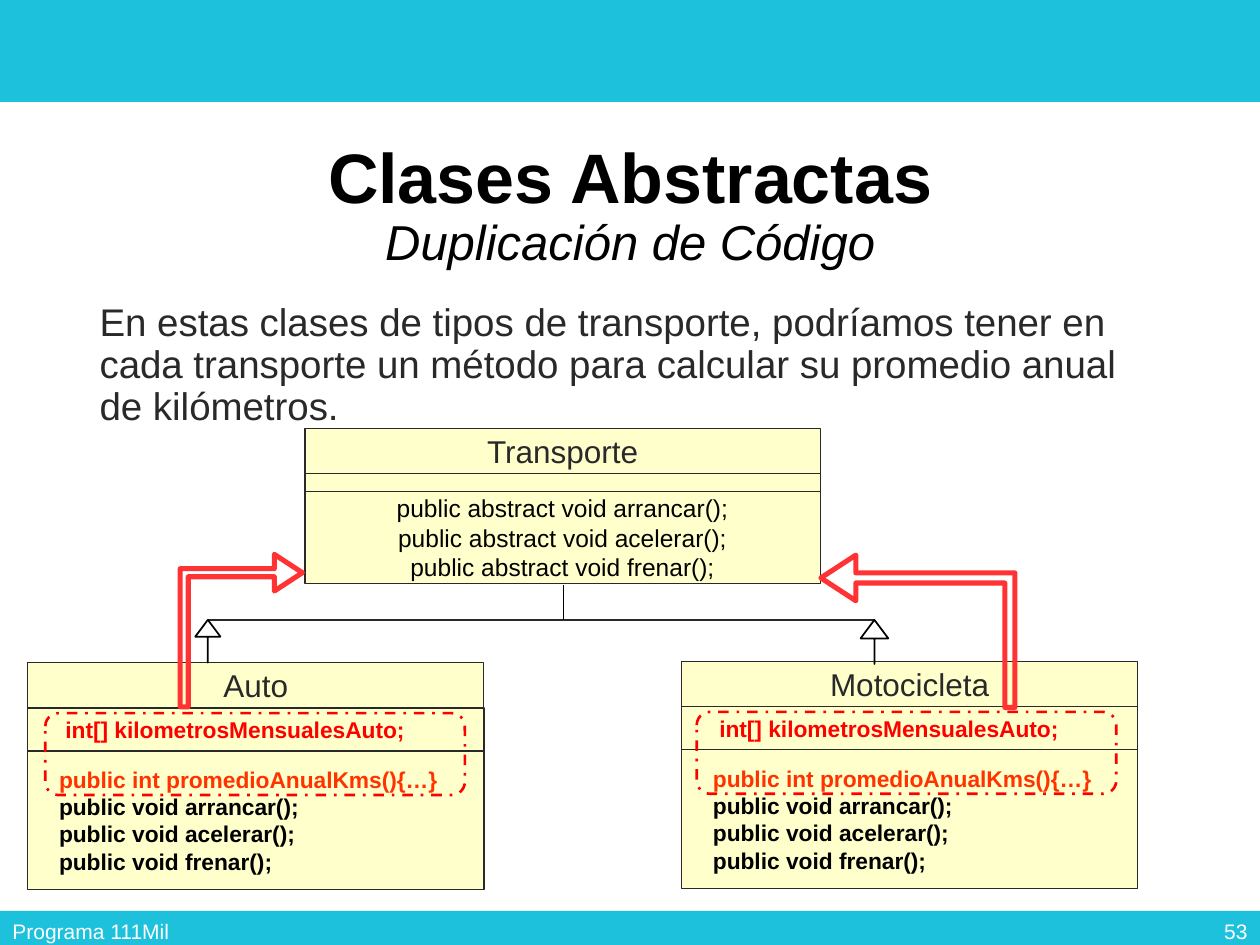
"""Builds the abstract classes slide with its transport class diagram."""
from dataclasses import dataclass

from lxml import etree
from pptx import Presentation
from pptx.dml.color import RGBColor
from pptx.enum.dml import MSO_LINE
from pptx.enum.shapes import MSO_CONNECTOR, MSO_SHAPE
from pptx.enum.text import MSO_ANCHOR, MSO_AUTO_SIZE, PP_ALIGN
from pptx.oxml.ns import qn
from pptx.util import Inches, Pt

LEFT, CENTER, RIGHT = PP_ALIGN.LEFT, PP_ALIGN.CENTER, PP_ALIGN.RIGHT
TOP, MIDDLE = MSO_ANCHOR.TOP, MSO_ANCHOR.MIDDLE
RECTANGLE, ROUNDED = MSO_SHAPE.RECTANGLE, MSO_SHAPE.ROUNDED_RECTANGLE
PROCESS, BENT_ARROW = MSO_SHAPE.FLOWCHART_PROCESS, MSO_SHAPE.BENT_UP_ARROW
DOWN_ARROW, STRAIGHT = MSO_SHAPE.DOWN_ARROW, MSO_CONNECTOR.STRAIGHT
DASH_DOT, NO_AUTOFIT = MSO_LINE.DASH_DOT, MSO_AUTO_SIZE.NONE


@dataclass(frozen=True)
class Theme:
    """Fonts, colours and type sizes of the slide."""
    font: str = "Arial"
    band: str = "1DC1DC"
    paper: str = "FFFFFF"
    ink: str = "000000"
    soft_ink: str = "292929"
    class_fill: str = "FFFFCC"
    field: str = "FF0000"
    method: str = "FF3300"
    arrow: str = "FF3333"
    title_size: int = 40
    subtitle_size: int = 28
    body_size: int = 22
    class_size: int = 18
    abstract_size: int = 14
    member_size: int = 13
    footer_size: int = 12


class SlideBuilder:
    """Holds the theme and the current slide."""

    def __init__(self, deck, theme):
        """Add a title and content slide to the deck."""
        self.theme = theme
        self.slide = deck.slides.add_slide(deck.slide_layouts[1])

    def fill_text(self, frame, lines, anchor=MIDDLE, **para_format):
        """Fill a frame with paragraphs of (text, font format) spans."""
        frame.word_wrap = True
        frame.auto_size = NO_AUTOFIT
        frame.vertical_anchor = anchor
        for index, spans in enumerate(lines):
            para = frame.add_paragraph() if index else frame.paragraphs[0]
            for name, value in para_format.items():
                setattr(para, name, value)
            for position, (text, font_format) in enumerate(spans):
                if position:
                    para.add_line_break()
                span = para.add_run()
                span.text = text
                self.style(span.font, **font_format)

    def style(self, font, size, color, **font_format):
        """Set the font of a span."""
        values = {"name": self.theme.font, "size": Pt(size), **font_format}
        for name, value in values.items():
            setattr(font, name, value)
        font.color.rgb = RGBColor.from_string(color)

    def place(self, shape, *bounds):
        """Move and size a shape in inches."""
        for name, value in zip(("left", "top", "width", "height"), bounds):
            setattr(shape, name, Inches(value))

    def title(self, bounds, heading, subtitle):
        """Put the heading and its subtitle in the title placeholder."""
        theme, box = self.theme, self.slide.shapes.title
        self.place(box, *bounds)
        spans = [
            (heading, dict(size=theme.title_size, color=theme.ink, bold=True)),
            (subtitle, dict(size=theme.subtitle_size, color=theme.ink, bold=False, italic=True)),
        ]
        self.fill_text(box.text_frame, [spans], alignment=CENTER, line_spacing=0.9)

    def body(self, bounds, text):
        """Put an unbulleted paragraph in the body placeholder."""
        theme, box = self.theme, self.slide.placeholders[1]
        self.place(box, *bounds)
        properties = box.text_frame.paragraphs[0]._p.get_or_add_pPr()
        for name in ("marL", "indent"):
            properties.set(name, "0")
        etree.SubElement(properties, qn("a:buNone"))
        span = (text, dict(size=theme.body_size, color=theme.soft_ink))
        self.fill_text(box.text_frame, [[span]], TOP, level=1, alignment=LEFT,
                       line_spacing=0.9, space_before=Pt(0))

    def label(self, bounds, text, alignment):
        """Add a footer text box."""
        box = self.slide.shapes.add_textbox(*map(Inches, bounds))
        span = (text, dict(size=self.theme.footer_size, color=self.theme.paper))
        self.fill_text(box.text_frame, [[span]], alignment=alignment)

    def shape(self, kind, bounds, fill=None, line=None, width=0.75, adjustments=()):
        """Add a preset shape with a flat fill and outline."""
        shape = self.slide.shapes.add_shape(kind, *map(Inches, bounds))
        shape.shadow.inherit = False
        if fill:
            shape.fill.solid()
            shape.fill.fore_color.rgb = RGBColor.from_string(fill)
        else:
            shape.fill.background()
        if line:
            shape.line.color.rgb = RGBColor.from_string(line)
            shape.line.width = Pt(width)
        else:
            shape.line.fill.background()
        for index, value in enumerate(adjustments):
            shape.adjustments[index] = value
        return shape

    def flip(self, shape):
        """Mirror a shape vertically."""
        shape._element.spPr.find(qn("a:xfrm")).set("flipV", "1")

    def line(self, start, end, color, width):
        """Add a straight line between two points."""
        line = self.slide.shapes.add_connector(STRAIGHT, *map(Inches, start + end))
        line.line.color.rgb = RGBColor.from_string(color)
        line.line.width = Pt(width)
        etree.SubElement(line._element.spPr, qn("a:effectLst"))

    def class_box(self, left, top, width, name, fields, methods, heights, alignment):
        """Stack the name, field and method compartments of a class."""
        title = [(name, dict(size=self.theme.class_size, color=self.theme.soft_ink))]
        compartments = (
            (RECTANGLE, [title], CENTER),
            (PROCESS, fields, alignment),
            (PROCESS, methods, alignment),
        )
        for (kind, lines, align), height in zip(compartments, heights):
            box = self.shape(kind, (left, top, width, height),
                             self.theme.class_fill, self.theme.soft_ink)
            self.fill_text(box.text_frame, lines, alignment=align)
            top += height

    def frame(self, *bounds):
        """Add a dash-dotted rounded frame."""
        frame = self.shape(ROUNDED, bounds, None, self.theme.field, 1.5, (0.16,))
        frame.line.dash_style = DASH_DOT

    def bent_arrow(self, bounds, flipped):
        """Add a hollow bent arrow turned on its side."""
        arrow = self.shape(BENT_ARROW, bounds, None, self.theme.arrow, 2.89, (0.066, 0.15, 0.23))
        arrow.rotation = 270
        if flipped:
            self.flip(arrow)

    def inheritance_arrow(self, *bounds):
        """Add an upward arrow with a hollow head."""
        self.flip(self.shape(DOWN_ARROW, bounds, self.theme.paper, self.theme.ink, 1, (0, 0.667)))


def main():
    """Build and save the slide."""
    deck = Presentation()
    deck.slide_width, deck.slide_height = Inches(10), Inches(7.5)
    theme = Theme()
    page = SlideBuilder(deck, theme)

    for top, height in ((0, 0.81), (7.23, 0.31)):
        page.shape(RECTANGLE, (0, top, 10, height), theme.band)
    page.title((0.69, 0.98, 8.62, 1.33), "Clases Abstractas", "Duplicación de Código")
    page.body((0.69, 2.36, 8.62, 4.76),
              "En estas clases de tipos de transporte, podríamos tener en cada transporte "
              "un método para calcular su promedio anual de kilómetros.")
    page.label((0, 7.19, 3.38, 0.4), "Programa 111Mil", LEFT)
    page.label((7.75, 7.19, 2.25, 0.4), "53", RIGHT)

    actions = ("arrancar", "acelerar", "frenar")
    abstract = dict(size=theme.abstract_size, color=theme.ink)
    member = dict(size=theme.member_size, bold=True)
    signatures = [[(f"public abstract void {action}();", abstract)] for action in actions]
    fields = [[("    int[] kilometrosMensualesAuto;", dict(member, color=theme.field))]]
    methods = [[("   public int promedioAnualKms(){…}", dict(member, color=theme.method))]]
    methods += [[(f"   public void {action}();", dict(member, color=theme.ink))]
                for action in actions]

    page.class_box(2.42, 3.4, 4.09, "Transporte", [], signatures, (0.36, 0.14, 0.73), CENTER)
    page.line((1.65, 4.92), (6.94, 4.92), theme.soft_ink, 0.75)
    for left, top, name in ((0.22, 5.26, "Auto"), (5.41, 5.25, "Motocicleta")):
        page.class_box(left, top, 3.62, name, fields, methods, (0.36, 0.34, 1.1), LEFT)
    page.frame(0.36, 5.66, 3.33, 0.65)
    page.frame(5.53, 5.65, 3.33, 0.65)
    page.bent_arrow((1.31, 4.52, 1.21, 0.97), True)
    page.bent_arrow((6.68, 4.24, 1.21, 1.54), False)
    page.inheritance_arrow(1.55, 4.92, 0.2, 0.34)
    page.inheritance_arrow(6.83, 4.92, 0.22, 0.35)
    page.line((4.47, 4.64), (4.47, 4.92), theme.ink, 0.5)
    deck.save("out.pptx")


if __name__ == "__main__":
    main()
